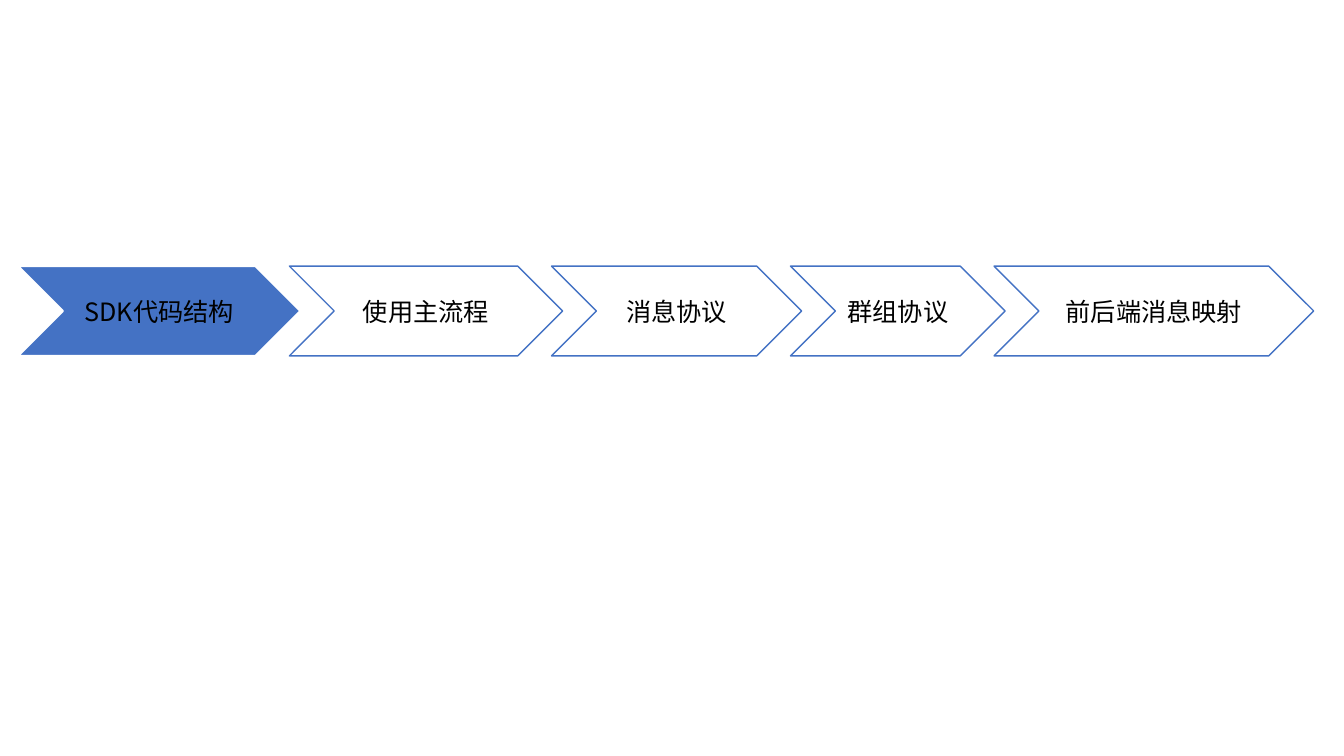
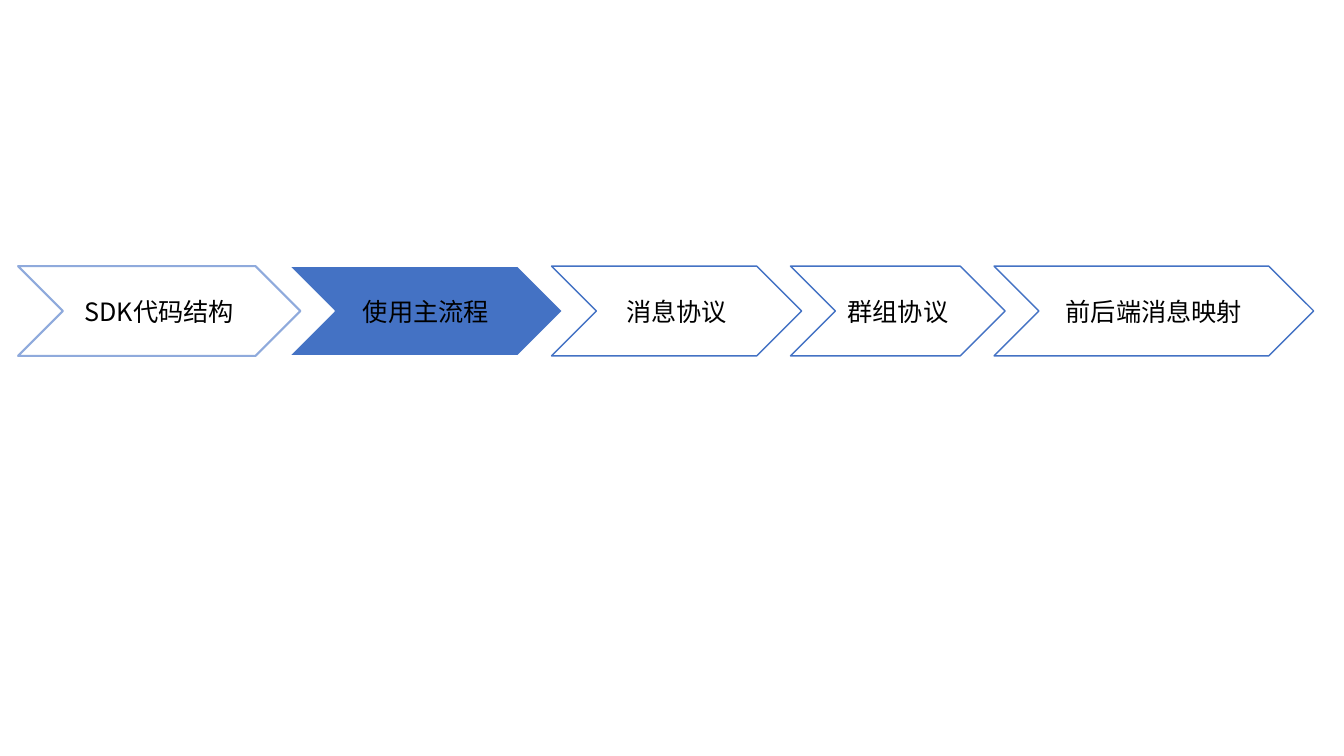
"""Build two agenda slides, each highlighting the current step of a chevron chain."""
from dataclasses import dataclass

from lxml import etree
from pptx import Presentation
from pptx import util as u
from pptx.dml.color import RGBColor
from pptx.enum import lang, shapes, text
from pptx.oxml import ns
from pptx.slide import Slide


@dataclass(frozen=True)
class Theme:
    accent: RGBColor = RGBColor(0x44, 0x72, 0xC4)
    accent_light: RGBColor = RGBColor(0x8F, 0xAA, 0xDC)
    white: RGBColor = RGBColor(0xFF, 0xFF, 0xFF)
    black: RGBColor = RGBColor(0x00, 0x00, 0x00)
    font: str = "Noto Sans CJK SC"
    label_size: u.Pt = u.Pt(18)


THEME = Theme()


@dataclass(frozen=True)
class Step:
    label: str
    width: float
    outline: RGBColor = THEME.accent
    outline_width: float = 1


STEPS = (
    Step("SDK代码结构", 2.8, THEME.accent_light, 1.5),
    Step("使用主流程", 2.71),
    Step("消息协议", 2.48),
    Step("群组协议", 2.13),
    Step("前后端消息映射", 3.17),
)
CHAIN_LEFT = 0.18
CHAIN_TOP = 2.64
STEP_HEIGHT = 0.89
OVERLAP = 0.11


def draw_step(page: Slide, step: Step, left: float, active: bool) -> None:
    box = page.shapes.add_shape(
        shapes.MSO_SHAPE.CHEVRON,
        u.Inches(left), u.Inches(CHAIN_TOP), u.Inches(step.width), u.Inches(STEP_HEIGHT),
    )
    box.shadow.inherit = False
    box.fill.solid()
    box.fill.fore_color.rgb = THEME.accent if active else THEME.white
    box.line.color.rgb = THEME.white if active else step.outline
    box.line.width = u.Pt(step.outline_width)

    frame = box.text_frame
    frame.text = step.label
    frame.vertical_anchor = text.MSO_ANCHOR.MIDDLE
    para = frame.paragraphs[0]
    para.alignment = text.PP_ALIGN.CENTER
    span = para.runs[0]
    span.font.size = THEME.label_size
    span.font.color.rgb = THEME.black
    span.font.name = THEME.font
    span.font.language_id = lang.MSO_LANGUAGE_ID.SIMPLIFIED_CHINESE
    east_asian = etree.SubElement(span._r.get_or_add_rPr(), ns.qn("a:ea"))
    east_asian.set("typeface", THEME.font)


def draw_chain(page: Slide, active_index: int) -> None:
    left = CHAIN_LEFT
    for index, step in enumerate(STEPS):
        draw_step(page, step, left, index == active_index)
        left += step.width - OVERLAP


def main() -> None:
    deck = Presentation()
    deck.slide_width = u.Inches(13.33)
    deck.slide_height = u.Inches(7.5)
    blank = deck.slide_layouts[6]
    for active_index in range(2):
        draw_chain(deck.slides.add_slide(blank), active_index)
    deck.save("out.pptx")


if __name__ == "__main__":
    main()
